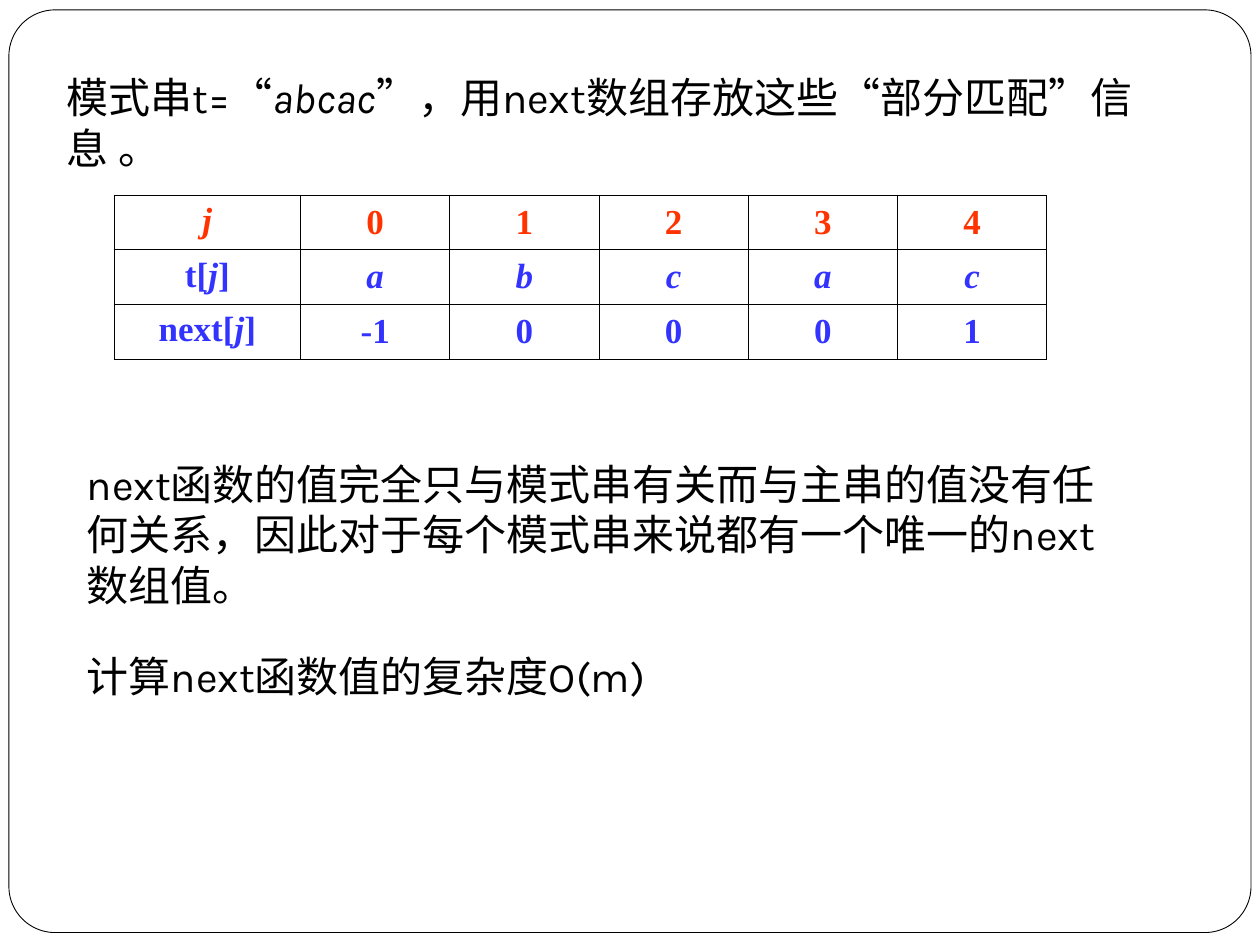
from lxml import etree
from pptx import Presentation
from pptx.dml.color import RGBColor
from pptx.enum.shapes import MSO_SHAPE
from pptx.enum.text import MSO_ANCHOR, PP_ALIGN
from pptx.oxml.ns import qn
from pptx.util import Cm, Pt

ROUND = MSO_SHAPE.ROUNDED_RECTANGLE
TOP, MIDDLE = MSO_ANCHOR.TOP, MSO_ANCHOR.MIDDLE
LEFT, CENTER = PP_ALIGN.LEFT, PP_ALIGN.CENTER

BLACK = RGBColor(0x00, 0x00, 0x00)
WHITE = RGBColor(0xFF, 0xFF, 0xFF)
RED = RGBColor(0xFF, 0x33, 0x00)
BLUE = RGBColor(0x33, 0x33, 0xFF)

INTRO = "模式串t=“*abcac*”，用next数组存放这些“部分匹配”信息 。"
CLAIM = "next函数的值完全只与模式串有关而与主串的值没有任何关系，因此对于每个模式串来说都有一个唯一的next数组值。"
COST = "计算next函数值的复杂度O(m)"
ROWS = [
    ["*j*", "0", "1", "2", "3", "4"],
    ["t[*j*]", "*a*", "*b*", "*c*", "*a*", "*c*"],
    ["next[*j*]", "-1", "0", "0", "0", "1"],
]


def write(frame, text, font="Karla", size=24, color=BLACK, bold=False, align=LEFT):
    """Fill the frame with one paragraph; parts between asterisks are italic."""
    para = frame.paragraphs[0]
    para.alignment = align
    for i, part in enumerate(text.split("*")):
        if part:
            run = para.add_run()
            run.text = part
            style = run.font
            style.name, style.size = font, Pt(size)
            style.bold, style.italic = bold, i % 2 == 1
            style.color.rgb = color


def add_frame(slide, x, y, w, h):
    frame = slide.shapes.add_shape(ROUND, Cm(x), Cm(y), Cm(w), Cm(h))
    frame.adjustments[0] = 0.05
    frame.shadow.inherit = False
    frame.fill.solid()
    frame.fill.fore_color.rgb = WHITE
    frame.line.color.rgb = BLACK
    frame.line.width = Pt(0.5)


def add_note(slide, text, x, y, w, h):
    box = slide.shapes.add_textbox(Cm(x), Cm(y), Cm(w), Cm(h))
    box.text_frame.word_wrap = True
    write(box.text_frame, text)


def add_border(cell):
    props = cell._tc.get_or_add_tcPr()
    for i, side in enumerate(("lnL", "lnR", "lnT", "lnB")):
        line = etree.Element(qn(f"a:{side}"), w=str(Pt(0.45)))
        fill = etree.SubElement(line, qn("a:solidFill"))
        etree.SubElement(fill, qn("a:srgbClr"), val=str(BLACK))
        props.insert(i, line)


def add_grid(slide, x, y, w, h, head=3.76):
    """Table of next values; head is the width of the label column."""
    count = len(ROWS[0])
    shape = slide.shapes.add_table(len(ROWS), count, Cm(x), Cm(y), Cm(w), Cm(h))
    table = shape.table
    table.first_row = table.horz_banding = False
    for i, col in enumerate(table.columns):
        col.width = Cm((w - head) / (count - 1) if i else head)
    for r, row in enumerate(ROWS):
        table.rows[r].height = Cm(h / len(ROWS))
        for c, text in enumerate(row):
            cell = table.cell(r, c)
            cell.fill.background()
            cell.vertical_anchor = MIDDLE if c else TOP
            write(cell.text_frame, text, font="Times New Roman", size=20,
                  color=BLUE if r else RED, bold=True, align=CENTER)
            add_border(cell)


def main():
    deck = Presentation()
    deck.slide_width, deck.slide_height = Cm(25.4), Cm(19.05)
    slide = deck.slides.add_slide(deck.slide_layouts[6])
    add_frame(slide, 0.18, 0.2, 25.04, 18.6)
    add_note(slide, INTRO, 1.1, 1.32, 22.4, 2.3)
    add_grid(slide, 2.3, 3.93, 18.8, 3.3)
    add_note(slide, CLAIM, 1.5, 9.12, 21.4, 3.3)
    add_note(slide, COST, 1.5, 12.98, 17.2, 1.27)
    deck.save("out.pptx")


if __name__ == "__main__":
    main()
